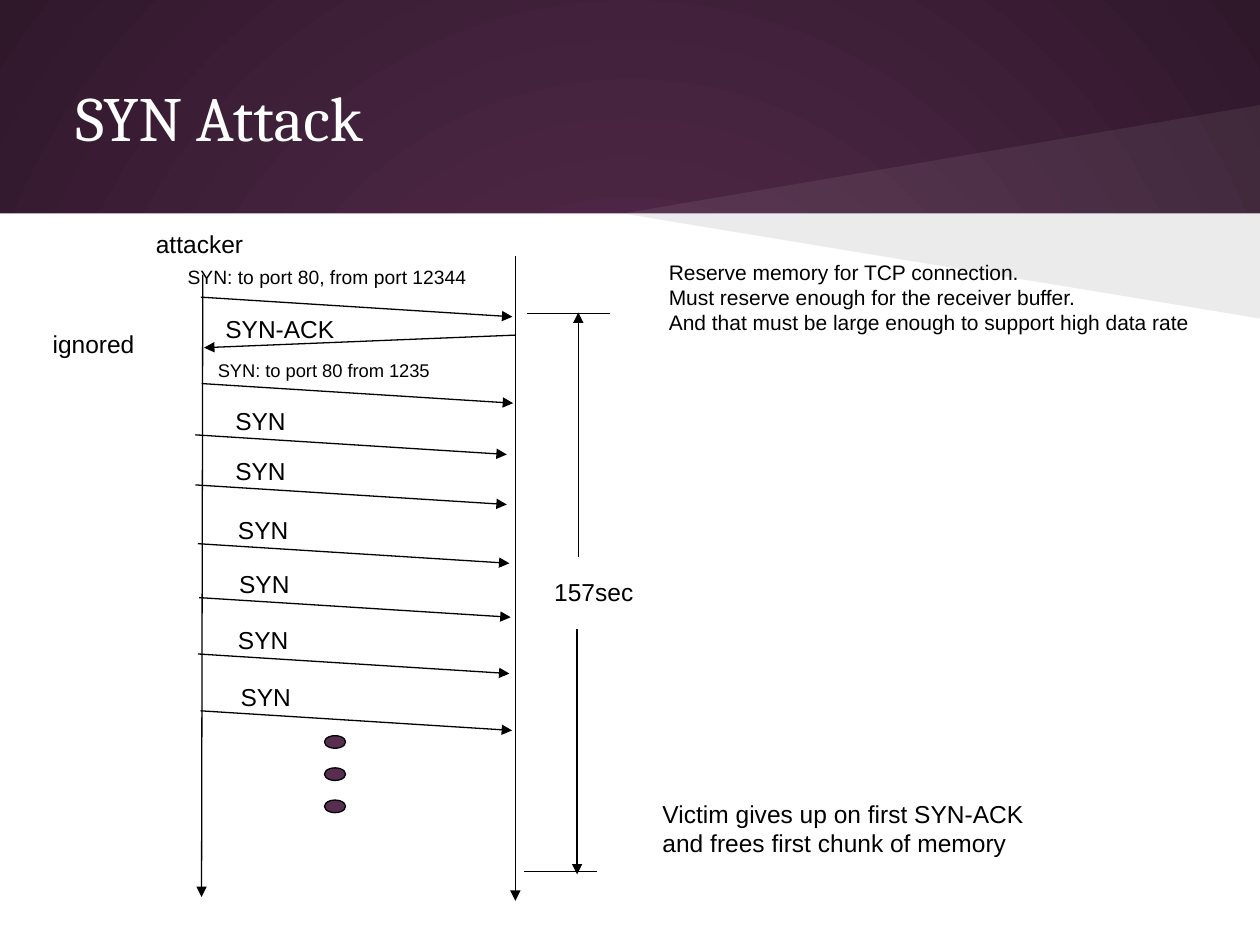
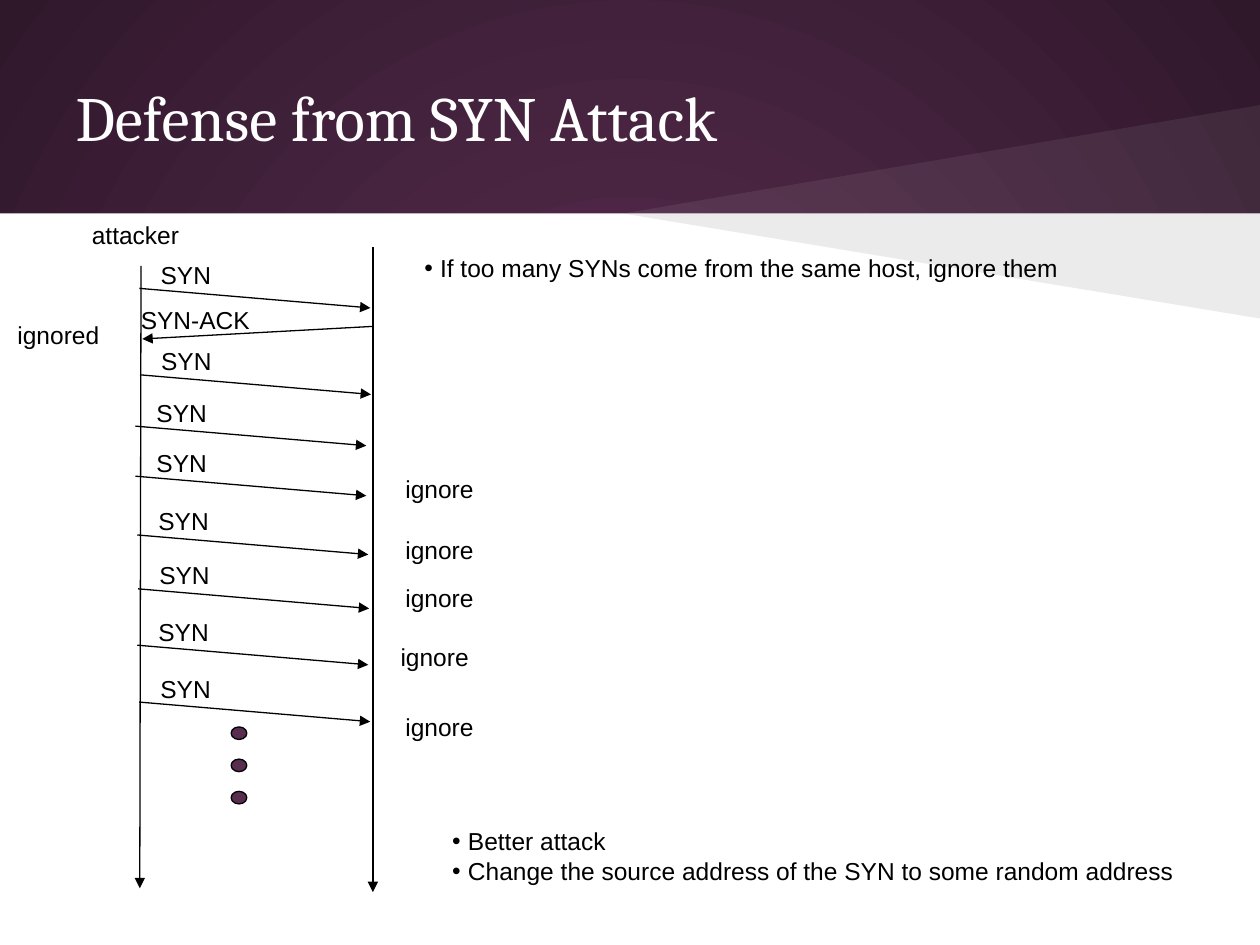
"""Build two slides that show a SYN attack and a defense from it."""
from dataclasses import dataclass

from lxml.etree import SubElement
from pptx import Presentation
from pptx.dml.color import RGBColor
from pptx.enum.shapes import MSO_CONNECTOR as Connector, MSO_SHAPE as Preset
from pptx.enum.text import MSO_ANCHOR as Anchor, MSO_AUTO_SIZE as AutoSize, PP_ALIGN as Align
from pptx.oxml.ns import qn
from pptx.presentation import Presentation as Deck
from pptx.shapes.autoshape import Shape
from pptx.slide import Slide
from pptx.util import Pt

COLOURS = {"plum": "592D50", "dark": "30182B", "white": "FFFFFF", "black": "000000"}
WIDTH, HEIGHT = 720, 540
BAND_BOTTOM = 122
BEAM_LEFT = 356.4
BEAMS = ((60, "white", 7), (182, "black", 8))
FULL_REACH = 178
LINE_HEIGHT = 26.6


@dataclass(frozen=True)
class Caption:
    """A text with its place and size."""
    text: str
    left: float
    top: float
    width: float
    size: float = 14


@dataclass(frozen=True)
class Message:
    """A SYN arrow, by its start relative to the attacker line."""
    shift: float
    top: float


@dataclass(frozen=True)
class Exchange:
    """A sequence diagram between attacker and victim."""
    attacker_x: float
    victim_x: float
    rise: float
    reach: float
    syn_gap: float
    captions: tuple[Caption, ...]
    syn_captions: tuple[Caption, ...] = ()


MESSAGES = (
    Message(-0.8, 169.8), Message(-0.4, 219.2), Message(-4, 248.5), Message(-4, 277.1),
    Message(-2.5, 310.7), Message(-1.8, 341.5), Message(-2.5, 373.7), Message(-1, 406.2),
)

ATTACK = Exchange(
    115.6, 294.5, 0, FULL_REACH, 15.8,
    (Caption("attacker", 82, 127.4, 79.2), Caption("ignored", 23, 184.3, 69.8),
     Caption("SYN-ACK", 121.7, 175.7, 86.4)),
    (Caption("SYN: to port 80, from port 12344", 100.1, 148.3, 190.8, 11),
     Caption("SYN: to port 80 from 1235", 117.4, 201.6, 149, 10.5)),
)
DEFENSE = Exchange(
    80.3, 213.1, 5, 132, 5,
    (Caption("attacker", 45.4, 122.4, 79.2), Caption("ignored", 2.9, 179.3, 69.8),
     Caption("SYN-ACK", 73.4, 170.6, 86.4)),
)


def colour(name: str) -> RGBColor:
    """Look up a named colour."""
    return RGBColor.from_string(COLOURS[name])


def add_text(page: Slide, text: str, *, left: float, top: float, width: float,
             height: float = LINE_HEIGHT, size: float = 14, bullet: bool = False) -> None:
    """Add a text box with one paragraph per line of text."""
    box = page.shapes.add_textbox(Pt(left), Pt(top), Pt(width), Pt(height))
    frame = box.text_frame
    frame.word_wrap = True
    for index, line in enumerate(text.split("\n")):
        para = frame.add_paragraph() if index else frame.paragraphs[0]
        if bullet:
            props = para._p.get_or_add_pPr()
            props.set("marL", str(Pt(9)))
            props.set("indent", str(Pt(-9)))
            SubElement(props, qn("a:buFont")).set("typeface", "Arial")
            SubElement(props, qn("a:buChar")).set("char", "•")
        span = para.add_run()
        span.text = line
        span.font.name = "Arial"
        span.font.size = Pt(size)
        span.font.color.rgb = colour("black")


def add_caption(page: Slide, caption: Caption) -> None:
    """Add a one-line caption."""
    add_text(page, caption.text, left=caption.left, top=caption.top,
             width=caption.width, size=caption.size)


def add_line(page: Slide, x1: float, y1: float, x2: float, y2: float, arrow: bool = True) -> None:
    """Draw a thin black line, with an arrowhead at its end if wanted."""
    line = page.shapes.add_connector(Connector.STRAIGHT, Pt(x1), Pt(y1), Pt(x2), Pt(y2))
    line.line.color.rgb = colour("black")
    line.line.width = Pt(0.75)
    if arrow:
        SubElement(line.line._get_or_add_ln(), qn("a:tailEnd")).set("type", "triangle")
    SubElement(line._element.spPr, qn("a:effectLst"))


def paint(shape: Shape, fill: str, outlined: bool = False) -> None:
    """Give a shape a flat fill, no shadow, and an optional thin outline."""
    shape.shadow.inherit = False
    shape.fill.solid()
    shape.fill.fore_color.rgb = colour(fill)
    if outlined:
        shape.line.color.rgb = colour("black")
        shape.line.width = Pt(0.75)
    else:
        shape.line.fill.background()


def set_background(deck: Deck) -> None:
    """Give the slide master a radial plum background."""
    master = deck.slide_master
    fill = master.background.fill
    fill.gradient()
    for stop, name in zip(fill.gradient_stops, ("plum", "dark")):
        stop.color.rgb = colour(name)
    gradient = master.element.find(".//" + qn("a:gradFill"))
    gradient.remove(gradient.find(qn("a:lin")))
    circle = SubElement(gradient, qn("a:path"))
    circle.set("path", "circle")
    centre = SubElement(circle, qn("a:fillToRect"))
    for side in "ltrb":
        centre.set(side, "50000")


def add_page(deck: Deck, text: str) -> Slide:
    """Add a slide with the white panel, the two beams and the title."""
    page = deck.slides.add_slide(deck.slide_layouts[5])
    panel = page.shapes.add_shape(Preset.RECTANGLE, 0, Pt(BAND_BOTTOM), Pt(WIDTH),
                                  Pt(HEIGHT - BAND_BOTTOM))
    paint(panel, "white")
    for end, name, opacity in BEAMS:
        outline = page.shapes.build_freeform(WIDTH, BAND_BOTTOM, scale=Pt(1))
        outline.add_line_segments(((BEAM_LEFT, BAND_BOTTOM), (WIDTH, end)), close=True)
        beam = outline.convert_to_shape()
        paint(beam, name)
        tint = beam._element.spPr.find(".//" + qn("a:srgbClr"))
        SubElement(tint, qn("a:alpha")).set("val", str(opacity * 1000))

    title = page.shapes.title
    title.element.getparent().append(title.element)
    title.left, title.top, title.width, title.height = Pt(36), Pt(21.6), Pt(648), Pt(90)
    frame = title.text_frame
    frame.auto_size = AutoSize.NONE
    frame.vertical_anchor = Anchor.MIDDLE
    frame.margin_left = frame.margin_right = frame.margin_top = frame.margin_bottom = Pt(7.2)
    para = frame.paragraphs[0]
    para.alignment = Align.LEFT
    span = para.add_run()
    span.text = text
    span.font.name = "Cambria"
    span.font.size = Pt(36)
    span.font.color.rgb = colour("white")
    return page


def draw_exchange(page: Slide, exchange: Exchange) -> None:
    """Draw the lifelines, the messages with their captions, and the dots."""
    left, right, rise = exchange.attacker_x, exchange.victim_x, exchange.rise
    scale = exchange.reach / FULL_REACH
    add_line(page, left + 0.3, 157 - rise, left - 0.4, 512.6 - rise)
    add_line(page, right, 146.2 - rise, right, 514.8 - rise)
    add_line(page, right + 0.3, 191.5 - rise, left + 1, 198.7 - rise)
    for caption in exchange.captions + exchange.syn_captions:
        add_caption(page, caption)
    for index, message in enumerate(MESSAGES):
        start, top = left + message.shift * scale, message.top - rise
        add_line(page, start, top, start + exchange.reach, top + 11.2)
        if index >= len(exchange.syn_captions):
            add_caption(page, Caption("SYN", start + exchange.syn_gap, top - 19.8, 48.2))
    for index in range(3):
        dot = page.shapes.add_shape(Preset.OVAL, Pt(left + 69.8 * scale),
                                    Pt(420.4 - rise + 18.4 * index), Pt(12.1 * scale), Pt(7.2))
        paint(dot, "plum", outlined=True)


def build_attack(deck: Deck) -> None:
    """Build the slide on the attack."""
    page = add_page(deck, "SYN Attack")
    draw_exchange(page, ATTACK)
    add_text(page, "Reserve memory for TCP connection.\n"
             "Must reserve enough for the receiver buffer.\n"
             "And that must be large enough to support high data rate",
             left=375.1, top=144.7, width=331.2, height=50.4, size=12)
    add_caption(page, Caption("157sec", 309.6, 326.2, 66.2))
    add_line(page, 301, 179.3, 348.5, 179.3, arrow=False)
    add_line(page, 299.5, 498.2, 341.3, 498.2, arrow=False)
    add_line(page, 329.8, 359.3, 329.8, 499.7)
    add_line(page, 330.5, 318.2, 330.5, 178.6)
    add_text(page, "Victim gives up on first SYN-ACK and frees first chunk of memory",
             left=371.5, top=452.9, width=242.6, height=41)


def build_defense(deck: Deck) -> None:
    """Build the slide on the defense."""
    page = add_page(deck, "Defense from SYN Attack")
    draw_exchange(page, DEFENSE)
    add_text(page, "If too many SYNs come from the same host, ignore them",
             left=235.4, top=141.1, width=449.3, height=46, bullet=True)
    for left, top in ((224.6, 267.1), (224.6, 302.4), (224.6, 329.8), (221.8, 363.6),
                      (224.6, 403.2)):
        add_caption(page, Caption("ignore", left, top, 60.5))
    add_text(page, "Better attack\nChange the source address of the SYN to some random address",
             left=251.3, top=468.7, width=440.6, height=41, bullet=True)


def main() -> None:
    """Build and save the deck."""
    deck = Presentation()
    deck.slide_width, deck.slide_height = Pt(WIDTH), Pt(HEIGHT)
    set_background(deck)
    build_attack(deck)
    build_defense(deck)
    deck.save("out.pptx")


if __name__ == "__main__":
    main()
